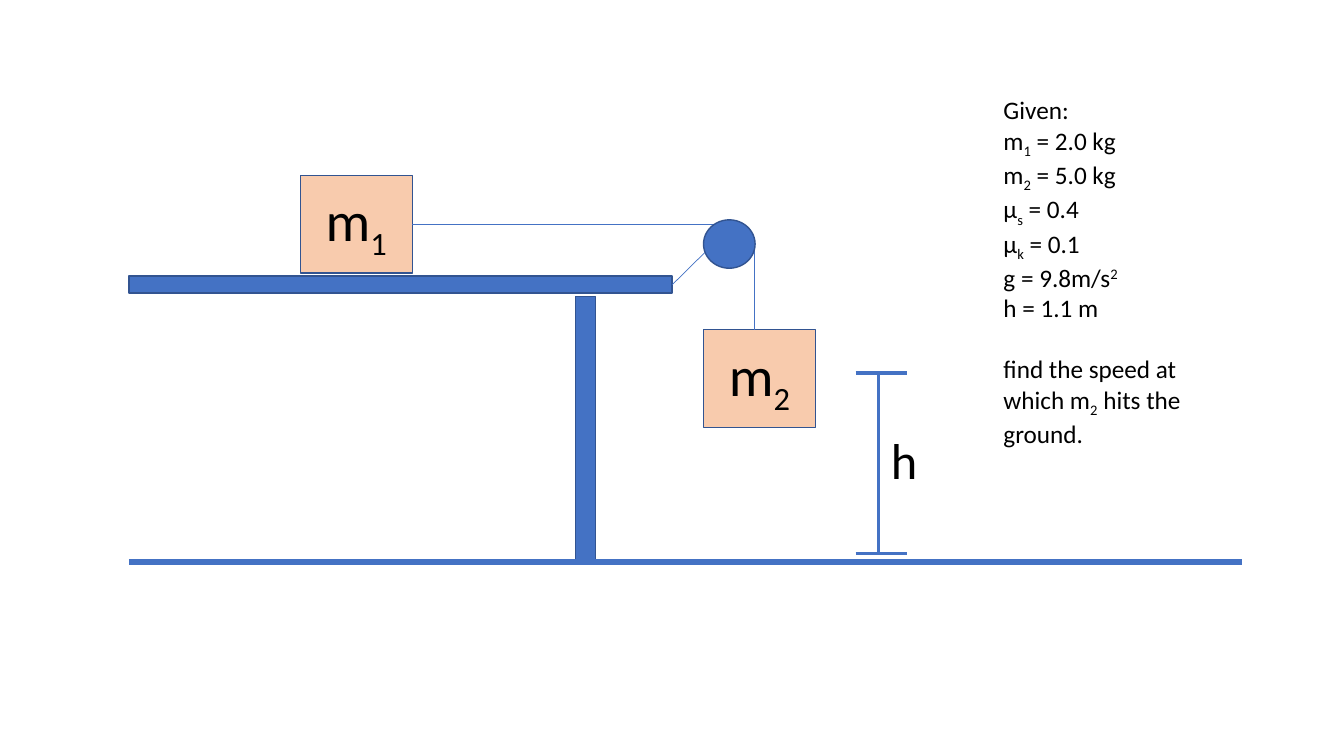
from dataclasses import dataclass

from pptx import Presentation
from pptx.dml.color import RGBColor
from pptx.enum.shapes import MSO_CONNECTOR, MSO_SHAPE
from pptx.enum.text import MSO_ANCHOR, PP_ALIGN
from pptx.oxml.ns import qn
from pptx.util import Cm, Pt
from lxml.etree import SubElement


@dataclass(frozen=True)
class Theme:
    blue: RGBColor = RGBColor(0x44, 0x72, 0xC4)
    edge: RGBColor = RGBColor(0x32, 0x54, 0x91)
    peach: RGBColor = RGBColor(0xF8, 0xCB, 0xAD)
    ink: RGBColor = RGBColor(0, 0, 0)
    font: str = "Calibri"
    mass: Pt = Pt(40)
    height: Pt = Pt(36)
    body: Pt = Pt(18)
    sub: int = -25000
    sup: int = 30000


theme = Theme()
deck = Presentation()
deck.slide_width, deck.slide_height = Cm(33.87), Cm(19.05)
slide = deck.slides.add_slide(deck.slide_layouts[6])


def write(para, text, size, shift=theme.sub):
    """Fill a paragraph; every second piece between bars is shifted off the baseline."""
    for i, piece in enumerate(text.split("|")):
        run = para.add_run()
        run.text = piece
        run.font.name, run.font.size = theme.font, size
        run.font.color.rgb = theme.ink
        if i % 2:
            run._r.get_or_add_rPr().set("baseline", str(shift))


def draw(shapes, start, end, width):
    """Add a straight blue line without a shadow."""
    line = shapes.add_connector(MSO_CONNECTOR.STRAIGHT, *map(Cm, start + end))
    line.line.color.rgb = theme.blue
    line.line.width = Pt(width)
    SubElement(line.element.spPr, qn("a:effectLst"))
    return line


# Table, masses and pulley
rect, oval = MSO_SHAPE.RECTANGLE, MSO_SHAPE.OVAL
parts = {}
for name, kind, fill, box in [
    ("top", rect, theme.blue, (3.25, 6.96, 13.69, 0.43)),
    ("m|1", rect, theme.peach, (7.57, 4.42, 2.82, 2.46)),
    ("m|2", rect, theme.peach, (17.73, 8.31, 2.82, 2.46)),
    ("leg", rect, theme.blue, (14.5, 7.47, 0.51, 6.65)),
    ("pulley", oval, theme.blue, (17.73, 5.54, 1.3, 1.22)),
]:
    part = slide.shapes.add_shape(kind, *map(Cm, box))
    part.shadow.inherit = False
    part.fill.solid()
    part.fill.fore_color.rgb = fill
    part.line.color.rgb = theme.edge
    part.line.width = Pt(1)
    parts[name] = part

for name in ("m|1", "m|2"):
    frame = parts[name].text_frame
    frame.vertical_anchor = MSO_ANCHOR.MIDDLE
    frame.paragraphs[0].alignment = PP_ALIGN.CENTER
    write(frame.paragraphs[0], name, theme.mass)

# Ground, rope and pulley arm
draw(slide.shapes, (3.25, 14.17), (31.29, 14.17), 4.5)
rope = draw(slide.shapes, (10.39, 5.65), (18.08, 5.65), 0.5)
rope.begin_connect(parts["m|1"], 3)
draw(slide.shapes, (19.02, 6.05), (19.02, 8.31), 0.5)
arm = draw(slide.shapes, (16.94, 7.17), (18.08, 6.05), 0.5)
arm.begin_connect(parts["top"], 3)
# The pulley covers the ends of the rope and the arm
slide.shapes.element.append(parts["pulley"].element)

# Given values and the question
given = slide.shapes.add_textbox(Cm(25.04), Cm(2.26), Cm(5.36), Cm(9.5)).text_frame
given.word_wrap = True
for i, (text, shift) in enumerate([
    ("Given:", theme.sub),
    ("m|1| = 2.0 kg", theme.sub),
    ("m|2| = 5.0 kg", theme.sub),
    ("μ|s| = 0.4", theme.sub),
    ("μ|k| = 0.1", theme.sub),
    ("g = 9.8m/s|2", theme.sup),
    ("h = 1.1 m", theme.sub),
    ("find the speed at which m|2| hits the ground.", theme.sub),
]):
    para = given.add_paragraph() if i else given.paragraphs[0]
    write(para, text, theme.body, shift)
para.space_before = Pt(22)

# Height mark
mark = slide.shapes.add_group_shape().shapes
high, low = 9.4, 13.94
draw(mark, (22.15, high), (22.15, low), 2.25)
for y in (high, low):
    draw(mark, (21.56, y), (22.86, y), 2.25)
label = mark.add_textbox(Cm(22.2), Cm(10.69), Cm(2.54), Cm(1.8)).text_frame
label.word_wrap = True
write(label.paragraphs[0], "h", theme.height)

deck.save("out.pptx")
